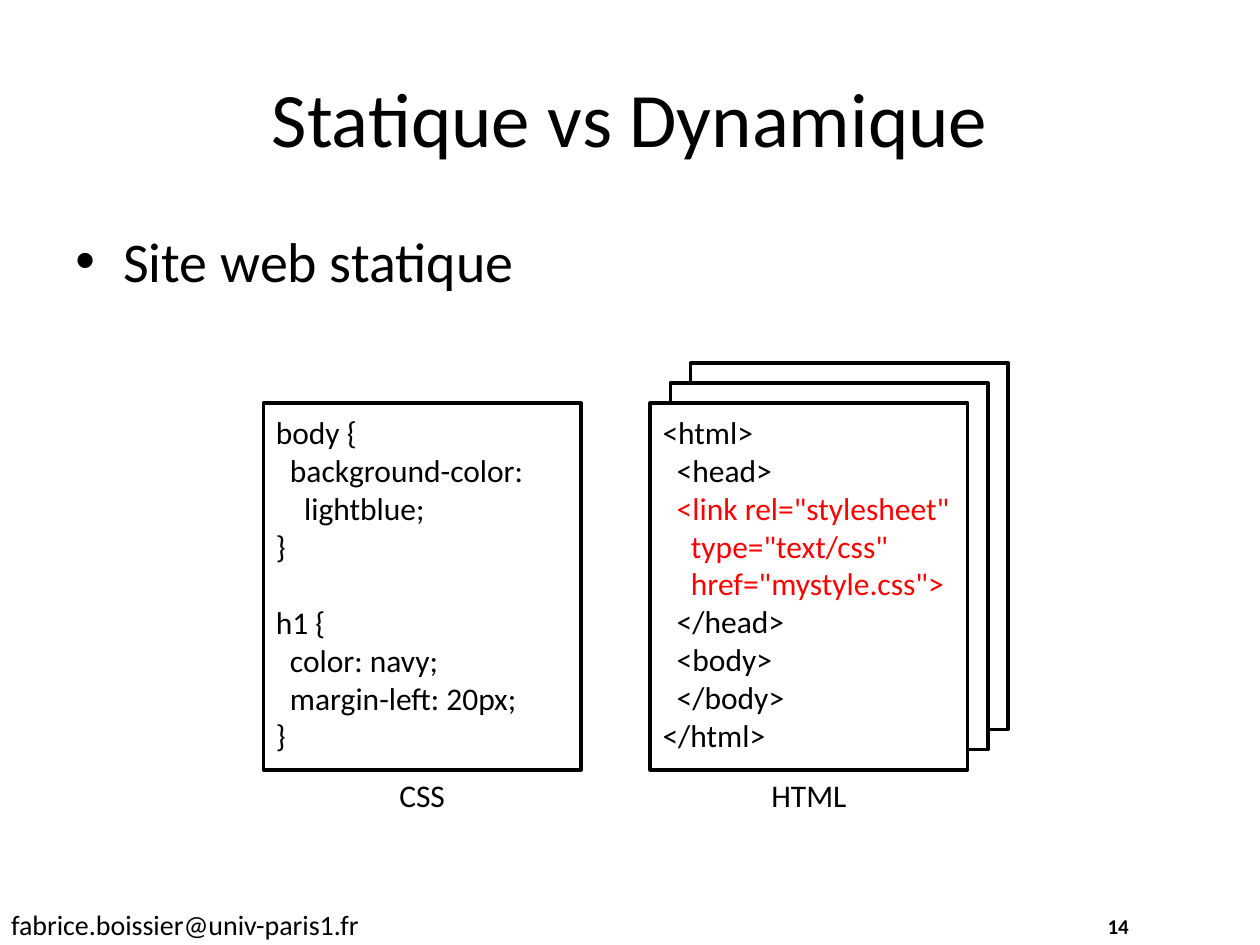
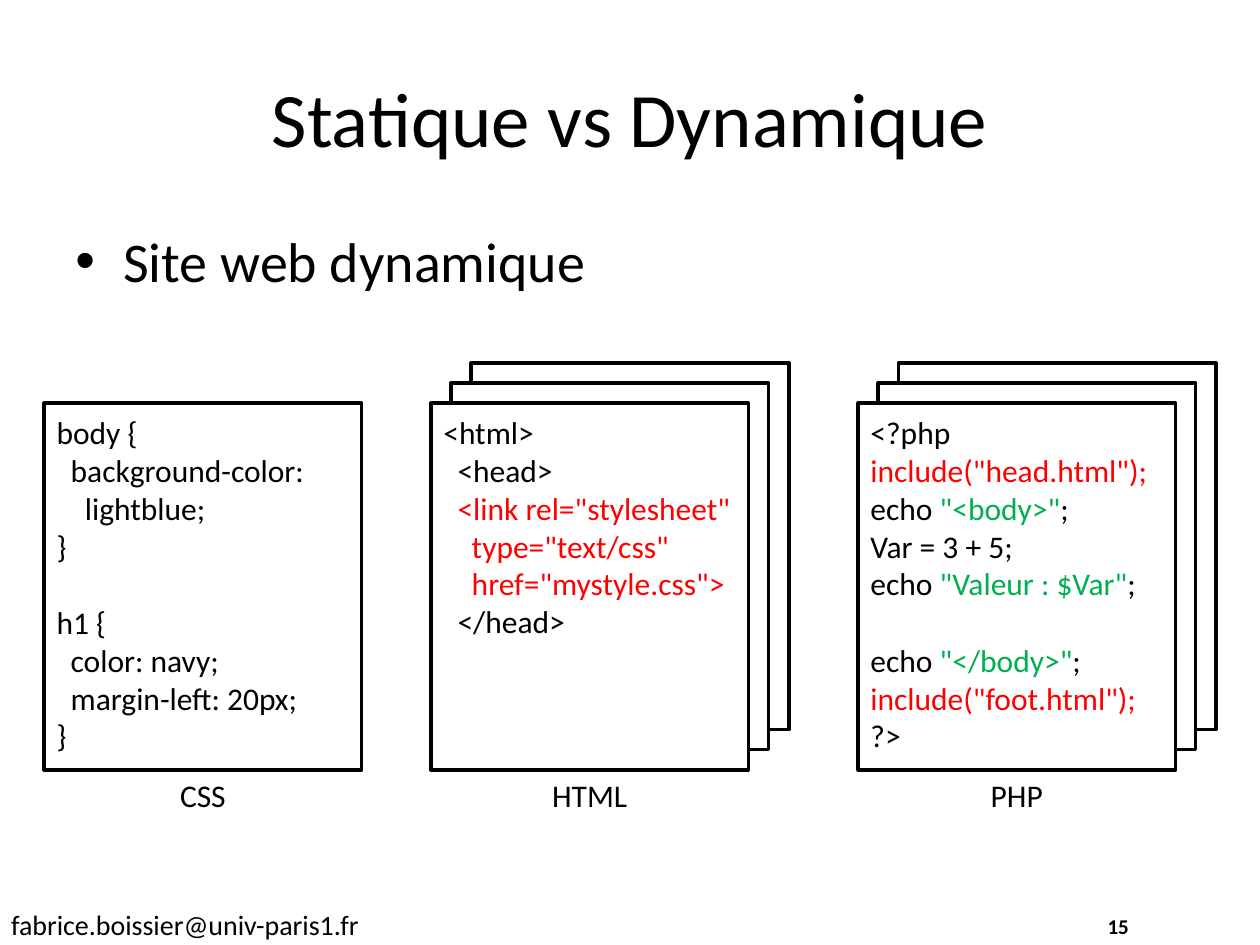
from lxml import etree
from pptx import Presentation
from pptx.dml.color import RGBColor
from pptx.enum.shapes import MSO_SHAPE
from pptx.enum.text import MSO_ANCHOR, PP_ALIGN
from pptx.oxml.ns import qn
from pptx.util import Inches, Pt

RECTANGLE = MSO_SHAPE.RECTANGLE
LEFT, CENTER = PP_ALIGN.LEFT, PP_ALIGN.CENTER
TOP, MIDDLE = MSO_ANCHOR.TOP, MSO_ANCHOR.MIDDLE

BLACK = RGBColor(0x00, 0x00, 0x00)
WHITE = RGBColor(0xFF, 0xFF, 0xFF)
RED = RGBColor(0xFF, 0x00, 0x00)
GREEN = RGBColor(0x00, 0xB0, 0x50)

FONT = "Calibri"
TITLE = "Statique vs Dynamique"
EMAIL = "fabrice.boissier@univ-paris1.fr"
TITLE_ONLY = 5
CODE_SIZE = 18
BLANK_LINE = Pt(22)

SHEET_WIDTH, SHEET_HEIGHT = 2.52, 2.91
SHEET_TOP = 3.2
SHEET_STEP = 0.16

CSS_CODE = [
    [("body {", BLACK)],
    [("  background-color:\n    lightblue;", BLACK)],
    [("}", BLACK)],
    [],
    [("h1 {", BLACK)],
    [("  color: navy;", BLACK)],
    [("  margin-left: 20px;", BLACK)],
    [("}", BLACK)],
]
HTML_HEAD = [
    [("<html>", BLACK)],
    [("  <head>", BLACK)],
    [('  <link rel="stylesheet"\n    type="text/css"\n    href="mystyle.css">', RED)],
    [("  </head>", BLACK)],
]
HTML_PAGE = HTML_HEAD + [
    [("  <body>", BLACK)],
    [("  </body>", BLACK)],
    [("</html>", BLACK)],
]
PHP_CODE = [
    [("<?php", BLACK)],
    [('include("head.html");', RED)],
    [("echo ", BLACK), ('"<body>"', GREEN), (";", BLACK)],
    [("Var = 3 + 5;", BLACK)],
    [("echo ", BLACK), ('"Valeur : $Var"', GREEN), (";", BLACK)],
    [],
    [("echo ", BLACK), ('"</body>"', GREEN), (";", BLACK)],
    [('include("foot.html");', RED)],
    [("?>", BLACK)],
]

SLIDES = [
    (14, "Site web statique", [
        ("HTML", 5.16, 3, HTML_PAGE),
        ("CSS", 2.09, 1, CSS_CODE),
    ]),
    (15, "Site web dynamique", [
        ("HTML", 3.42, 3, HTML_HEAD),
        ("CSS", 0.35, 1, CSS_CODE),
        ("PHP", 6.81, 3, PHP_CODE),
    ]),
]


def add_text(paragraph, text, size, color=BLACK, bold=False):
    """Add text as runs, turning each newline into a line break."""
    for index, line in enumerate(text.split("\n")):
        if index:
            paragraph.add_line_break()
        run = paragraph.add_run()
        run.text = line
        run.font.name = FONT
        run.font.size = Pt(size)
        run.font.color.rgb = color
        run.font.bold = bold


def add_label(shapes, box, text, size, align=LEFT, anchor=TOP, bold=False):
    """Add a one-paragraph text box and return its paragraph."""
    frame = shapes.add_textbox(*map(Inches, box)).text_frame
    frame.word_wrap = True
    frame.vertical_anchor = anchor
    paragraph = frame.paragraphs[0]
    paragraph.alignment = align
    add_text(paragraph, text, size, bold=bold)
    return paragraph


def add_title(slide):
    """Place and format the title placeholder."""
    title = slide.shapes.title
    title.left, title.top = Inches(0.5), Inches(0.3)
    title.width, title.height = Inches(9), Inches(1.25)
    title.text_frame.vertical_anchor = MIDDLE
    paragraph = title.text_frame.paragraphs[0]
    paragraph.alignment = CENTER
    add_text(paragraph, TITLE, 44)


def add_bullet(slide, text):
    """Add the bulleted line under the title."""
    paragraph = add_label(slide.shapes, (0.5, 1.75, 9, 4.95), text, 32)
    properties = paragraph._p.get_or_add_pPr()
    properties.set("marL", str(Inches(0.38)))
    properties.set("indent", str(-Inches(0.38)))
    etree.SubElement(properties, qn("a:buFont")).set("typeface", "Arial")
    etree.SubElement(properties, qn("a:buChar")).set("char", "•")


def add_footer(slide, number):
    """Add the author's address and the slide number."""
    add_label(slide.shapes, (-0.01, 7.15, 3.04, 0.37), EMAIL, 16)
    add_label(slide.shapes, (7.71, 7.15, 2.33, 0.4), str(number), 12,
              CENTER, MIDDLE, bold=True)


def add_sheet(shapes, left, top, filled):
    """Add one outlined page."""
    sheet = shapes.add_shape(RECTANGLE, Inches(left), Inches(top),
                             Inches(SHEET_WIDTH), Inches(SHEET_HEIGHT))
    sheet.shadow.inherit = False
    if filled:
        sheet.fill.solid()
        sheet.fill.fore_color.rgb = WHITE
    else:
        sheet.fill.background()
    sheet.line.color.rgb = BLACK
    sheet.line.width = Pt(2)
    return sheet


def write_code(sheet, code):
    """Write code on a page, with an empty entry giving a gap of one line."""
    frame = sheet.text_frame
    frame.word_wrap = True
    frame.vertical_anchor = TOP
    frame.margin_top = Inches(0.08)
    paragraph = frame.paragraphs[0]
    gap = False
    for index, pieces in enumerate(code):
        if not pieces:
            gap = True
            continue
        if index:
            paragraph = frame.add_paragraph()
        paragraph.alignment = LEFT
        if gap:
            paragraph.space_before = BLANK_LINE
            gap = False
        for text, color in pieces:
            add_text(paragraph, text, CODE_SIZE, color)


def add_file_stack(slide, name, left, count, code):
    """Add a captioned stack of pages whose front page shows code."""
    shapes = slide.shapes.add_group_shape().shapes
    for depth in reversed(range(count)):
        shift = depth * SHEET_STEP
        sheet = add_sheet(shapes, left + shift, SHEET_TOP - shift,
                          filled=depth < count - 1)
    write_code(sheet, code)
    add_label(shapes, (left, SHEET_TOP + SHEET_HEIGHT, SHEET_WIDTH, 0.4),
              name, CODE_SIZE, CENTER)


def add_site_slide(presentation, number, subject, stacks):
    """Add a slide describing the files of one kind of web site."""
    slide = presentation.slides.add_slide(presentation.slide_layouts[TITLE_ONLY])
    add_title(slide)
    add_bullet(slide, subject)
    for stack in stacks:
        add_file_stack(slide, *stack)
    add_footer(slide, number)


def main():
    """Build and save the presentation."""
    presentation = Presentation()
    presentation.slide_width = Inches(10)
    presentation.slide_height = Inches(7.5)
    for content in SLIDES:
        add_site_slide(presentation, *content)
    presentation.save("out.pptx")


if __name__ == "__main__":
    main()
